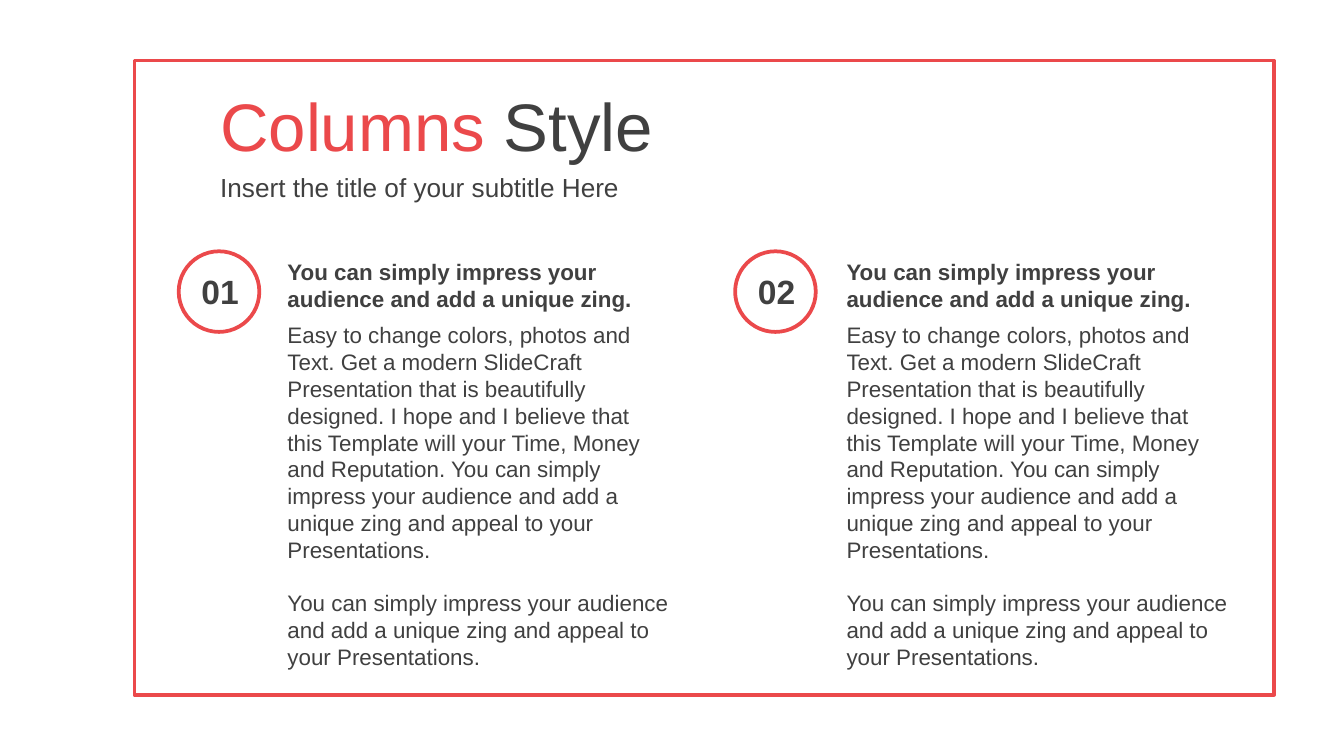
from dataclasses import dataclass

from pptx import Presentation
from pptx.dml.color import RGBColor
from pptx.enum.shapes import MSO_SHAPE
from pptx.enum.text import MSO_ANCHOR
from pptx.util import Inches, Pt


@dataclass(frozen=True)
class Theme:
    """Colours, font and type sizes of the slide."""
    accent: RGBColor = RGBColor(0xEB, 0x49, 0x4B)
    text: RGBColor = RGBColor(0x40, 0x40, 0x40)
    white: RGBColor = RGBColor(0xFF, 0xFF, 0xFF)
    font: str = "Arial"
    title: Pt = Pt(36)
    subtitle: Pt = Pt(14)
    number: Pt = Pt(18)
    body: Pt = Pt(12)
    paragraph_gap: Pt = Pt(14)
    outline: Pt = Pt(2)


THEME = Theme()
HEADING = "You can simply impress your audience and add a unique zing."
BODY = (
    "Easy to change colors, photos and Text. Get a modern SlideCraft "
    "Presentation that is beautifully designed. I hope and I believe that "
    "this Template will your Time, Money and Reputation. You can simply "
    "impress your audience and add a unique zing and appeal to your "
    "Presentations.",
    "You can simply impress your audience and add a unique zing and appeal "
    "to your Presentations.",
)


def add_outline(slide, kind, left, top, width, height):
    """Add a white shape with an accent outline."""
    shape = slide.shapes.add_shape(
        kind, Inches(left), Inches(top), Inches(width), Inches(height))
    shape.shadow.inherit = False
    shape.fill.solid()
    shape.fill.fore_color.rgb = THEME.white
    shape.line.color.rgb = THEME.accent
    shape.line.width = THEME.outline


def add_text(slide, paragraphs, left, top, width, height, size,
             bold=False, wrap=True, anchor=MSO_ANCHOR.TOP):
    """Add a text box of paragraphs, each a list of (text, colour) runs."""
    box = slide.shapes.add_textbox(
        Inches(left), Inches(top), Inches(width), Inches(height))
    text_frame = box.text_frame
    text_frame.word_wrap = wrap
    text_frame.vertical_anchor = anchor
    for index, runs in enumerate(paragraphs):
        if index == 0:
            paragraph = text_frame.paragraphs[0]
        else:
            paragraph = text_frame.add_paragraph()
            paragraph.space_before = THEME.paragraph_gap
        for text, color in runs:
            run = paragraph.add_run()
            run.text = text
            run.font.name = THEME.font
            run.font.size = size
            run.font.bold = bold
            run.font.color.rgb = color


def add_header(slide):
    """Add the two-colour title and the subtitle."""
    add_text(slide, [[("Columns", THEME.accent), (" Style", THEME.text)]],
             1.54, 0.61, 7.8, 0.63, THEME.title, anchor=MSO_ANCHOR.MIDDLE)
    add_text(slide, [[("Insert the title of your subtitle Here", THEME.text)]],
             1.54, 1.24, 7.8, 0.31, THEME.subtitle, anchor=MSO_ANCHOR.MIDDLE)


def add_column(slide, number, badge_left, text_left):
    """Add a numbered badge with its heading and body text."""
    add_text(slide, [[(text, THEME.text)] for text in BODY],
             text_left, 2.34, 3.05, 2.52, THEME.body)
    add_text(slide, [[(HEADING, THEME.text)]],
             text_left, 1.87, 3.05, 0.5, THEME.body, bold=True)
    add_outline(slide, MSO_SHAPE.OVAL, badge_left, 1.87, 0.6, 0.6)
    add_text(slide, [[(f"{number:02}", THEME.text)]],
             badge_left + 0.07, 1.97, 0.48, 0.4, THEME.number,
             bold=True, wrap=False)


def main():
    """Build and save the slide."""
    presentation = Presentation()
    presentation.slide_width = Inches(10)
    presentation.slide_height = Inches(10 * 9 / 16)
    slide = presentation.slides.add_slide(presentation.slide_layouts[6])
    add_outline(slide, MSO_SHAPE.RECTANGLE, 1, 0.45, 8.48, 4.72)
    add_header(slide)
    columns = ((1.33, 2.04), (5.47, 6.2))
    for number, (badge_left, text_left) in enumerate(columns, start=1):
        add_column(slide, number, badge_left, text_left)
    presentation.save("out.pptx")


if __name__ == "__main__":
    main()
